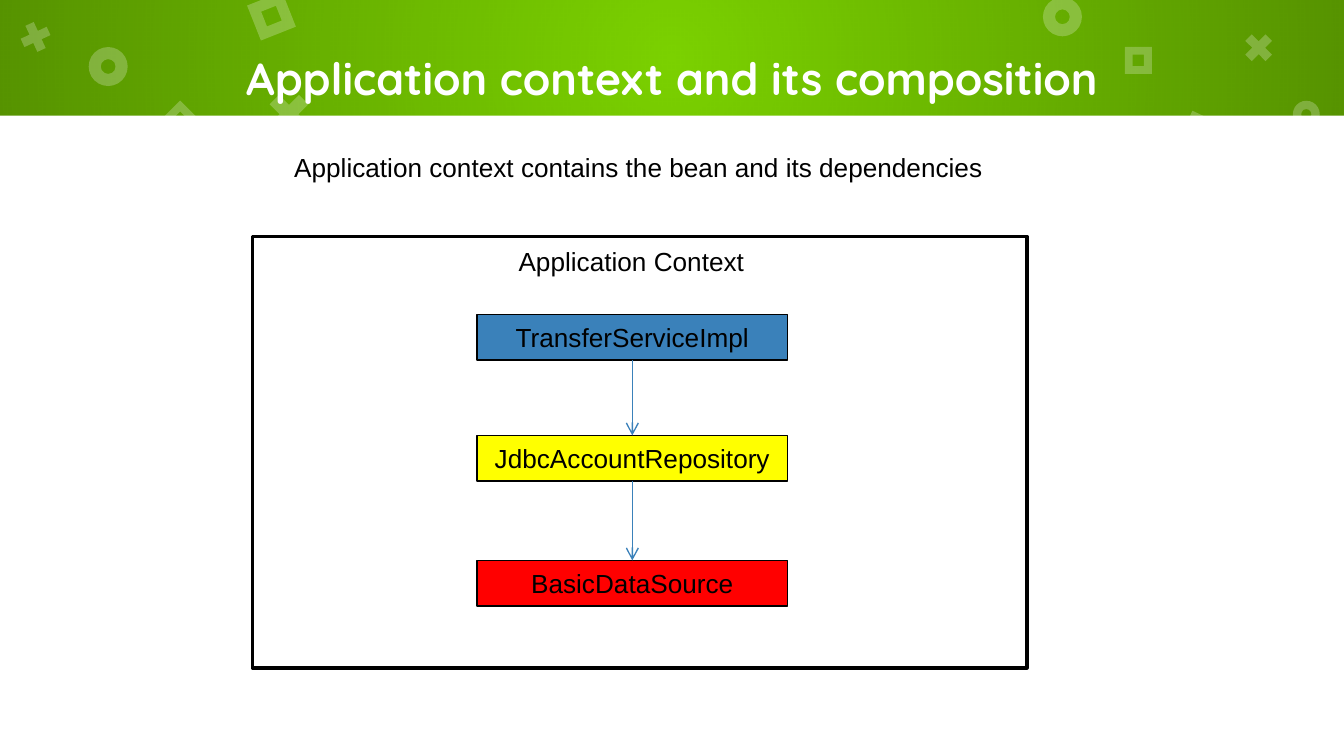
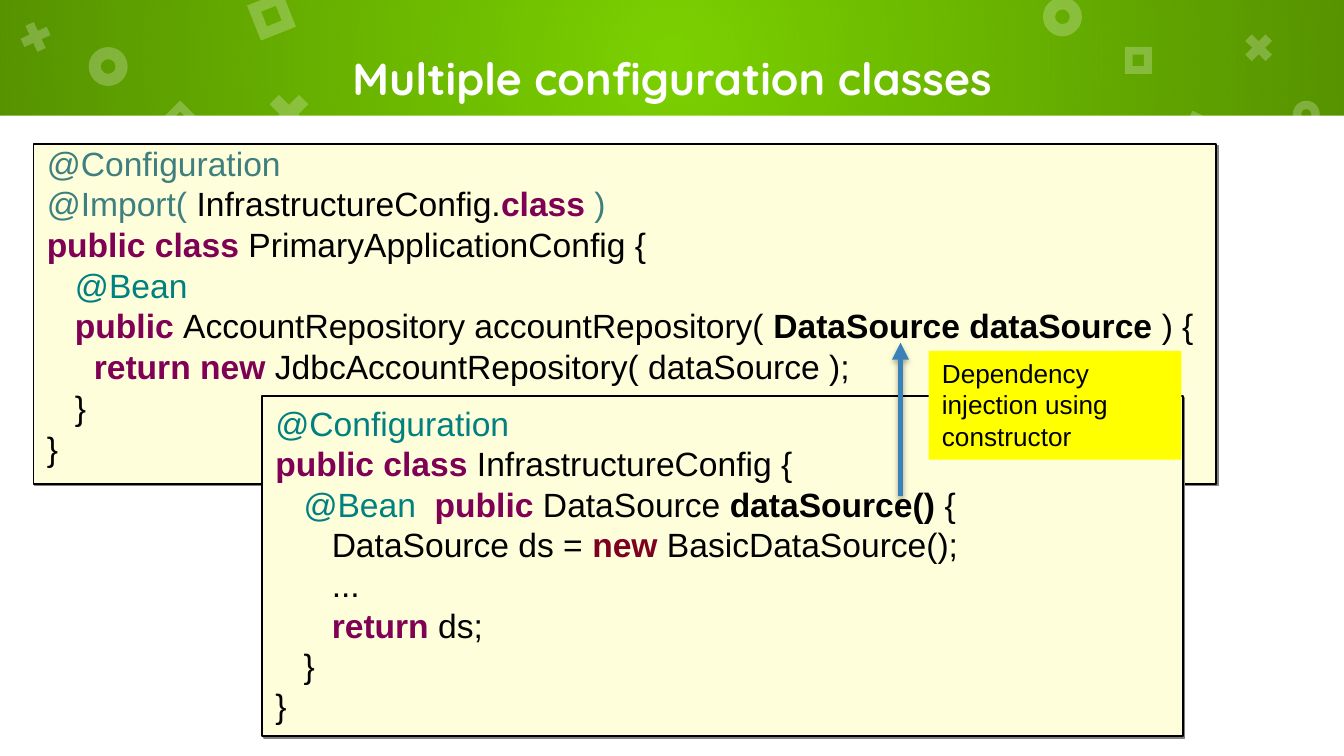
from dataclasses import dataclass
from itertools import pairwise

from pptx import Presentation
from pptx.dml.color import RGBColor
from pptx.enum.shapes import MSO_CONNECTOR as Connector, MSO_SHAPE as Preset
from pptx.enum.text import MSO_ANCHOR as Anchor, MSO_AUTO_SIZE as AutoSize, PP_ALIGN as Align
from pptx.oxml import parse_xml
from pptx.oxml.ns import nsdecls, qn
from pptx.util import Inches, Pt

# Shared look
WIDTH, BAND_HEIGHT = 10, 0.86
HEIGHT = WIDTH * 9 / 16
BODY_FONT, TITLE_FONT = "Arial", "Quicksand"
GREEN, WHITE, BLACK = "7BD100", "FFFFFF", "000000"
BLUE, YELLOW, RED = "3A81BA", "FFFF00", "FF0000"
CREAM, GRAY = "FEFFDA", "808080"
KEYWORD, NEW_KEYWORD = "7F0055", "7E0021"
SAGE, TEAL = "3F7F7F", "008080"
SPACE_WIDTH = 0.07  # one blank of the 18 pt code font


@dataclass(frozen=True)
class Ornament:
    preset: Preset
    left: float
    top: float
    size: float
    turn: float = 0


@dataclass(frozen=True)
class Span:
    text: str
    color: str = BLACK
    bold: bool = False


@dataclass(frozen=True)
class Line:
    spans: tuple[Span, ...]
    depth: int = 0  # indent in blanks


@dataclass(frozen=True)
class Shadow:
    color: str
    alpha: int
    blur: float
    distance: float
    angle: int


@dataclass(frozen=True)
class Bean:
    name: str
    top: float
    color: str


ADJUSTMENT = {Preset.DONUT: 0.31, Preset.MATH_MULTIPLY: 0.235, Preset.FRAME: 0.289}
ORNAMENTS = [
    Ornament(Preset.DONUT, 0.66, 0.35, 0.29),
    Ornament(Preset.MATH_MULTIPLY, 1.94, 0.64, 0.42),
    Ornament(Preset.FRAME, 1.88, -0.02, 0.28, 338.4),
    Ornament(Preset.DONUT, 7.76, -0.02, 0.29),
    Ornament(Preset.FRAME, 8.8, 0.87, 0.28, 25),
    Ornament(Preset.MATH_MULTIPLY, 0.12, 0.13, 0.29, 20.4),
    Ornament(Preset.FRAME, 1.24, 0.79, 0.2, 45),
    Ornament(Preset.DONUT, 9.62, 0.75, 0.2),
    Ornament(Preset.MATH_MULTIPLY, 9.22, 0.21, 0.29),
    Ornament(Preset.FRAME, 8.37, 0.35, 0.2),
]
PANEL_SHADOW = Shadow(GRAY, 100, 0, 1.4, 45)
ARROW_SHADOW = Shadow(BLACK, 35, 3.1, 1.8, 90)


# Drawing helpers
def rgb(color: str) -> RGBColor:
    return RGBColor.from_string(color)


def set_shadow(shape, shadow: Shadow | None = None) -> None:
    """Give a shape one outer shadow, or none."""
    effects = parse_xml(f"<a:effectLst {nsdecls('a')}/>")
    if shadow:
        effects.append(parse_xml(
            f'<a:outerShdw {nsdecls("a")} blurRad="{Pt(shadow.blur)}" '
            f'dist="{Pt(shadow.distance)}" dir="{shadow.angle * 60000}" algn="ctr" rotWithShape="0">'
            f'<a:srgbClr val="{shadow.color}"><a:alpha val="{shadow.alpha * 1000}"/></a:srgbClr>'
            "</a:outerShdw>"))
    shape._element.spPr.append(effects)


def add_block(page, left: float, top: float, width: float, height: float, fill: str,
              line: str | None = None, weight: float = 0.75,
              preset: Preset = Preset.RECTANGLE, shadow: Shadow | None = None):
    block = page.shapes.add_shape(preset, Inches(left), Inches(top), Inches(width), Inches(height))
    block.fill.solid()
    block.fill.fore_color.rgb = rgb(fill)
    if line:
        block.line.color.rgb = rgb(line)
        block.line.width = Pt(weight)
    else:
        block.line.fill.background()
    set_shadow(block, shadow)
    return block


def add_span(para, span: Span, size: float, font: str = BODY_FONT) -> None:
    run = para.add_run()
    run.text = span.text
    run.font.size = Pt(size)
    run.font.name = font
    run.font.bold = span.bold
    run.font.color.rgb = rgb(span.color)


def write_label(box, text: str, align: Align = Align.LEFT) -> None:
    frame = box.text_frame
    frame.word_wrap = True
    frame.auto_size = AutoSize.SHAPE_TO_FIT_TEXT
    frame.vertical_anchor = Anchor.TOP
    para = frame.paragraphs[0]
    para.alignment = align
    add_span(para, Span(text), 14)


def add_text(page, left: float, top: float, width: float, height: float):
    return page.shapes.add_textbox(Inches(left), Inches(top), Inches(width), Inches(height))


def add_arrow(page, x: float, start: float, end: float, weight: float, head: str,
              shadow: Shadow | None = None) -> None:
    arrow = page.shapes.add_connector(
        Connector.STRAIGHT, Inches(x), Inches(start), Inches(x), Inches(end))
    arrow.line.color.rgb = rgb(BLUE)
    arrow.line.width = Pt(weight)
    arrow.line._get_or_add_ln().append(parse_xml(f'<a:tailEnd {nsdecls("a")} type="{head}"/>'))
    set_shadow(arrow, shadow)


def add_code(page, left: float, top: float, width: float, height: float, lines: list[Line],
             spacing: float = 1, before: float = 0) -> None:
    panel = add_block(page, left, top, width, height, CREAM, BLACK, 1, shadow=PANEL_SHADOW)
    frame = panel.text_frame
    frame.word_wrap = True
    frame.vertical_anchor = Anchor.TOP
    for index, line in enumerate(lines):
        para = frame.add_paragraph() if index else frame.paragraphs[0]
        para.alignment = Align.LEFT
        para.line_spacing = spacing
        para.space_before = Pt(before)
        para._p.get_or_add_pPr().set("marL", str(Inches(line.depth * SPACE_WIDTH)))
        for span in line.spans:
            add_span(para, span, 18)


def shade_band(band) -> None:
    """Darken the band from its clear centre towards its ends."""
    gradient = parse_xml(
        f'<a:gradFill {nsdecls("a")}><a:gsLst>'
        f'<a:gs pos="0"><a:srgbClr val="{BLACK}"><a:alpha val="0"/></a:srgbClr></a:gs>'
        f'<a:gs pos="100000"><a:srgbClr val="{BLACK}"><a:alpha val="30000"/></a:srgbClr></a:gs>'
        '</a:gsLst><a:path path="circle">'
        '<a:fillToRect l="50000" t="50000" r="50000" b="50000"/></a:path></a:gradFill>')
    properties = band._element.spPr
    properties.replace(properties.find(qn("a:solidFill")), gradient)


def add_page(deck, title: str):
    page = deck.slides.add_slide(deck.slide_layouts[6])
    page.background.fill.solid()
    page.background.fill.fore_color.rgb = rgb(GREEN)
    shade_band(add_block(page, 0, 0, WIDTH, BAND_HEIGHT, BLACK))
    add_block(page, 0, BAND_HEIGHT, WIDTH, HEIGHT - BAND_HEIGHT, WHITE)
    for item in ORNAMENTS:
        shape = add_block(page, item.left, item.top, item.size, item.size, WHITE, preset=item.preset)
        shape.adjustments[0] = ADJUSTMENT[item.preset]
        shape.rotation = item.turn
        color = shape._element.spPr.find(qn("a:solidFill"))[0]
        color.append(parse_xml(f'<a:alpha {nsdecls("a")} val="24000"/>'))
    box = add_text(page, 0.95, 0, 8.1, 1.16)
    frame = box.text_frame
    frame.word_wrap = True
    frame.vertical_anchor = Anchor.MIDDLE
    frame.margin_top = frame.margin_bottom = Inches(0.1)
    para = frame.paragraphs[0]
    para.alignment = Align.CENTER
    add_span(para, Span(title, WHITE, True), 24, TITLE_FONT)
    return page


deck = Presentation()
deck.slide_width, deck.slide_height = Inches(WIDTH), Inches(HEIGHT)

# Slide 1: chain of beans inside the context
page = add_page(deck, "Application context and its composition")
add_block(page, 1.88, 1.76, 5.76, 3.21, WHITE, BLACK, 2)
write_label(add_text(page, 3.76, 1.78, 2.49, 0.34), "Application Context")
BEAN_LEFT, BEAN_WIDTH, BEAN_HEIGHT = 3.55, 2.31, 0.34
beans = [
    Bean("TransferServiceImpl", 2.34, BLUE),
    Bean("JdbcAccountRepository", 3.24, YELLOW),
    Bean("BasicDataSource", 4.17, RED),
]
for bean in beans:
    box = add_block(page, BEAN_LEFT, bean.top, BEAN_WIDTH, BEAN_HEIGHT, bean.color, BLACK)
    write_label(box, bean.name, Align.CENTER)
for upper, lower in pairwise(beans):
    add_arrow(page, BEAN_LEFT + BEAN_WIDTH / 2, upper.top + BEAN_HEIGHT, lower.top, 0.75, "arrow")
write_label(add_text(page, 2.09, 1.08, 6.02, 0.34),
            "Application context contains the bean and its dependencies")

# Slide 2: two code panels and a callout
page = add_page(deck, "Multiple configuration classes")
primary_code = [
    Line((Span("@Configuration", SAGE),)),
    Line((Span("@Import( ", SAGE), Span("InfrastructureConfig."),
          Span("class", KEYWORD, True), Span(" )", SAGE))),
    Line((Span("public class ", KEYWORD, True), Span("PrimaryApplicationConfig {"))),
    Line((Span("@Bean", TEAL),), 3),
    Line((Span("public ", KEYWORD, True), Span("AccountRepository accountRepository( "),
          Span("DataSource dataSource ", bold=True), Span(") {")), 3),
    Line((Span("return new ", KEYWORD, True), Span("JdbcAccountRepository( dataSource );")), 5),
    Line((Span("}"),), 3),
    Line((Span("}"),)),
]
infrastructure_code = [
    Line((Span("@Configuration", TEAL),)),
    Line((Span("public class", KEYWORD, True), Span(" InfrastructureConfig {"))),
    Line((Span("@Bean  ", TEAL), Span("public", KEYWORD, True), Span(" DataSource "),
          Span("dataSource() ", bold=True), Span("{")), 3),
    Line((Span("DataSource ds = "), Span("new", NEW_KEYWORD, True),
          Span(" BasicDataSource();")), 6),
    Line((Span("..."),), 6),
    Line((Span("return", KEYWORD, True), Span(" ds;")), 6),
    Line((Span("}"),), 3),
    Line((Span("}"),)),
]
add_code(page, 0.25, 1.07, 8.8, 2.53, primary_code, spacing=0.8, before=4.5)
add_code(page, 1.95, 2.95, 6.85, 2.53, infrastructure_code)
add_arrow(page, 6.7, 3.69, 2.55, 3, "triangle", ARROW_SHADOW)
write_label(add_block(page, 6.91, 2.61, 1.88, 0.81, YELLOW),
            "Dependency injection using constructor")

deck.save("out.pptx")
